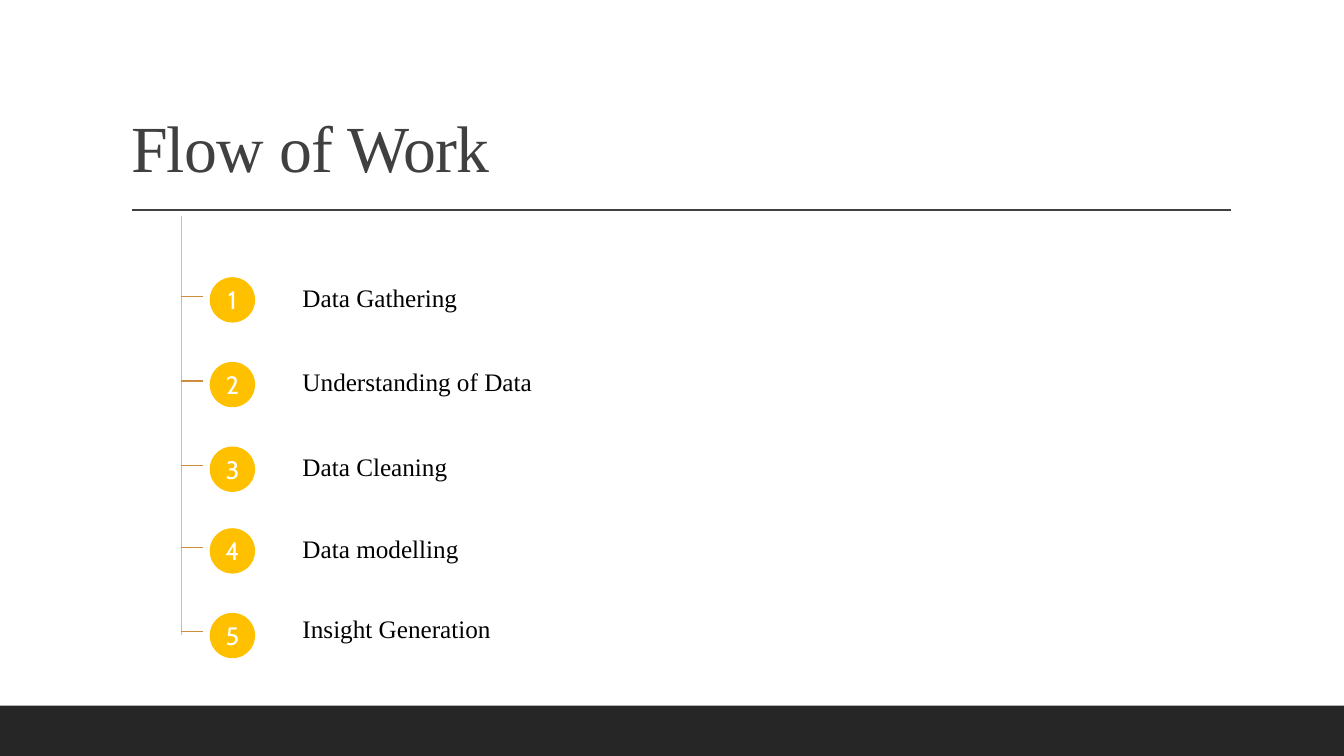
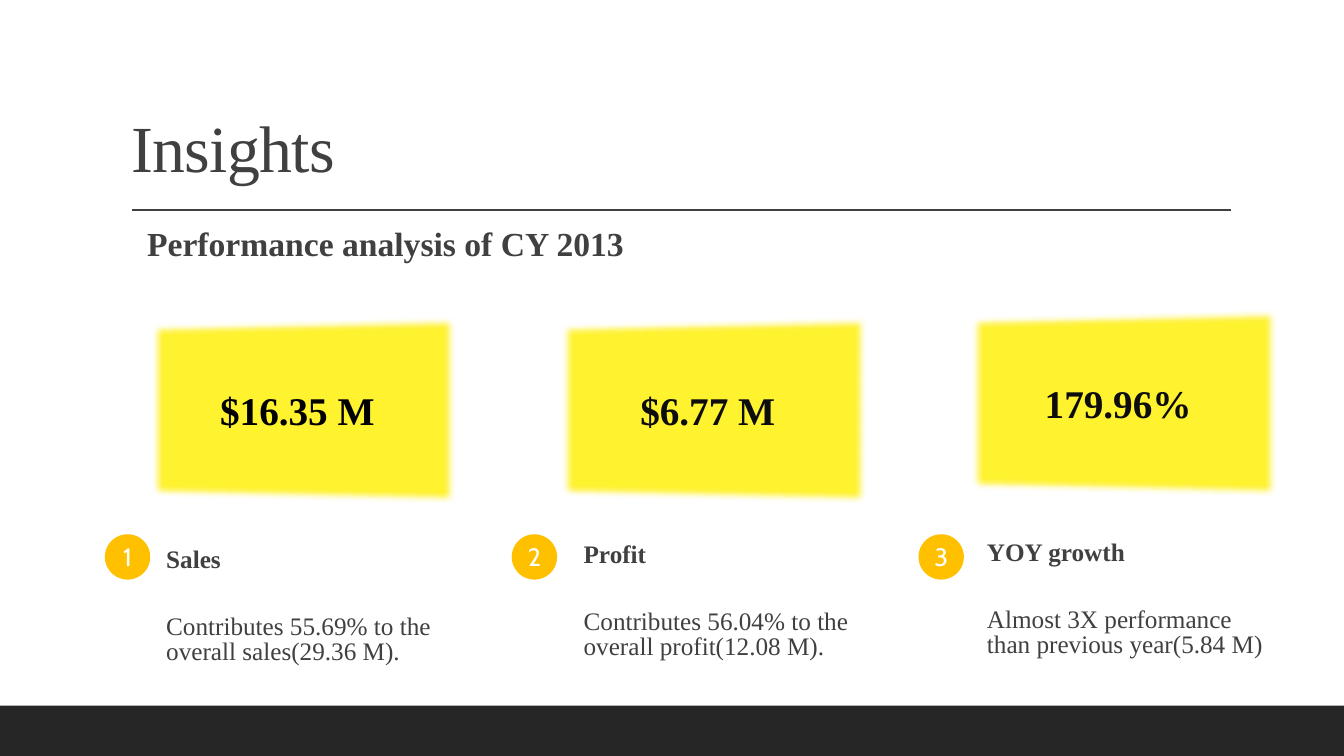
import pptx
import pptx.dml.color
import pptx.enum.shapes
import pptx.enum.text
import pptx.oxml
import pptx.oxml.ns
import pptx.util

Inches = pptx.util.Inches
Pt = pptx.util.Pt
qn = pptx.oxml.ns.qn
anchors = pptx.enum.text.MSO_ANCHOR
aligns = pptx.enum.text.PP_ALIGN

COLORS = {
    "ink": "404040", "band": "262626", "badge": "FFC000", "white": "FFFFFF",
    "black": "000000", "figure": "0D0D0D", "card": "FFF22F",
    "tick": "CE8D3E", "spine": "BFBFBF",
}
SERIF = "Times New Roman"
DIGITS = "Cabin"


def add_span(para, text, size, color, font=SERIF, bold=False):
    span = para.add_run()
    span.text = text
    span.font.size = Pt(size)
    span.font.name = font
    span.font.bold = bold
    span.font.color.rgb = pptx.dml.color.RGBColor.from_string(COLORS[color])
    return span


def add_line(page, left, top, right, bottom, color, width):
    line = page.shapes.add_connector(
        pptx.enum.shapes.MSO_CONNECTOR.STRAIGHT,
        Inches(left), Inches(top), Inches(right), Inches(bottom))
    line.line.color.rgb = pptx.dml.color.RGBColor.from_string(COLORS[color])
    line.line.width = Pt(width)
    properties = line._element.spPr
    properties.append(properties.makeelement(qn("a:effectLst"), {}))


deck = pptx.Presentation()
deck.slide_width = Inches(13.33)
deck.slide_height = Inches(7.5)

for heading, body_place in [
    ("Flow of Work", (2.9, 2.77, 6.67, 3.75)),
    ("Insights", (1.36, 2.29, 7, 0.4)),
]:
    page = deck.slides.add_slide(deck.slide_layouts[1])
    band = page.shapes.add_shape(
        pptx.enum.shapes.MSO_SHAPE.RECTANGLE,
        0, Inches(7), deck.slide_width, Inches(0.5))
    band.shadow.inherit = False
    band.fill.solid()
    band.fill.fore_color.rgb = pptx.dml.color.RGBColor.from_string(COLORS["band"])
    band.line.fill.background()
    add_line(page, 1.31, 2.08, 12.21, 2.08, "ink", 1.25)

    title = page.shapes.title
    body = page.placeholders[1]
    for box, place, anchor in [
        (title, (1.2, 0.31, 11, 1.59), anchors.BOTTOM),
        (body, body_place, anchors.TOP),
    ]:
        box.left, box.top, box.width, box.height = map(Inches, place)
        box.text_frame.vertical_anchor = anchor
        box.text_frame.auto_size = pptx.enum.text.MSO_AUTO_SIZE.NONE
    para = title.text_frame.paragraphs[0]
    para.alignment = aligns.LEFT
    para.line_spacing = 0.9
    span = add_span(para, heading, 47, "ink")
    span.font._element.set("spc", "-50")

flow, insights = deck.slides

badges = []
steps = [
    ("Data Gathering", 2.75, 2.77),
    ("Understanding of Data", 3.59, 3.61),
    ("Data Cleaning", 4.43, 4.45),
    ("Data modelling", 5.24, 5.26),
    ("Insight Generation", 6.08, 6.06),
]
step_list = flow.placeholders[1].text_frame
add_line(flow, 1.8, 2.14, 1.8, 6.3, "spine", 0.75)
previous_top = None
for number, (label, badge_top, label_top) in enumerate(steps, 1):
    badges.append((flow, number, 2.08, badge_top))
    add_line(flow, 1.8, badge_top + 0.19, 2.01, badge_top + 0.19, "tick", 0.75)
    para = step_list.paragraphs[0] if number == 1 else step_list.add_paragraph()
    para.line_spacing = Pt(20)
    para.space_after = Pt(0)
    gap = 0 if number == 1 else (label_top - previous_top) * 72 - 20
    para.space_before = Pt(round(gap, 2))
    add_span(para, label, 18, "black")
    previous_top = label_top

subtitle = insights.placeholders[1].text_frame
subtitle.vertical_anchor = anchors.MIDDLE
para = subtitle.paragraphs[0]
para.line_spacing = Pt(18)
para.space_before = Pt(0)
add_span(para, "Performance analysis of CY 2013", 24, "ink", bold=True)

for frame in (step_list, subtitle):
    for para in frame.paragraphs:
        properties = para._element.get_or_add_pPr()
        properties.set("marL", "0")
        properties.set("indent", "0")
        properties.append(properties.makeelement(qn("a:buNone"), {}))

measures = [
    ("$16.35 M", "black", 3.15, "Sales", "Contributes 55.69% to the overall sales(29.36 M).", 1.55, 5.34),
    ("$6.77 M", "figure", 3.15, "Profit", "Contributes 56.04% to the overall profit(12.08 M).", 5.69, 5.34),
    ("179.96%", "figure", 3.08, "YOY growth", "Almost 3X performance than previous year(5.84 M)", 9.69, 5.32),
]
for column, (figure, color, card_top, name, detail, text_left, text_top) in enumerate(measures):
    left = 1.5 + 4.07 * column
    right = left + 3.02
    outline = insights.shapes.build_freeform(Inches(left), Inches(card_top + 0.06))
    outline.add_line_segments([
        (Inches(right), Inches(card_top - 0.01)),
        (Inches(right), Inches(card_top + 1.85)),
        (Inches(left), Inches(card_top + 1.78)),
    ], close=True)
    card = outline.convert_to_shape()
    card.fill.solid()
    card.fill.fore_color.rgb = pptx.dml.color.RGBColor.from_string(COLORS["card"])
    card.line.fill.background()
    card.shadow.inherit = False
    effects = card._element.spPr.find(qn("a:effectLst"))
    effects.append(effects.makeelement(qn("a:softEdge"), {"rad": "63500"}))
    frame = card.text_frame
    frame.word_wrap = True
    frame.vertical_anchor = anchors.MIDDLE
    frame.margin_right = Inches(0.22)
    para = frame.paragraphs[0]
    para.alignment = aligns.CENTER
    add_span(para, figure, 28, color, bold=True)

    badges.append((insights, column + 1, 1.04 + 4.035 * column, 5.3))
    box = insights.shapes.add_textbox(
        Inches(text_left), Inches(text_top), Inches(2.95), Inches(1.09))
    frame = box.text_frame
    frame.word_wrap = True
    for text, bold in [(name, True), (detail, False)]:
        para = frame.paragraphs[0] if bold else frame.add_paragraph()
        if column or not bold:
            para.line_spacing = Pt(18)
        para.space_before = Pt(10)
        para.space_after = Pt(20)
        add_span(para, text, 18, "ink", bold=bold)

for page, number, left, top in badges:
    badge = page.shapes.add_shape(
        pptx.enum.shapes.MSO_SHAPE.OVAL,
        Inches(left), Inches(top), Inches(0.45), Inches(0.45))
    badge.shadow.inherit = False
    badge.fill.solid()
    badge.fill.fore_color.rgb = pptx.dml.color.RGBColor.from_string(COLORS["badge"])
    badge.line.fill.background()
    frame = badge.text_frame
    frame.margin_left = frame.margin_right = frame.margin_top = frame.margin_bottom = 0
    frame.word_wrap = False
    frame.vertical_anchor = anchors.MIDDLE
    para = frame.paragraphs[0]
    para.alignment = aligns.CENTER
    add_span(para, str(number), 18, "white", font=DIGITS)

deck.save("out.pptx")
